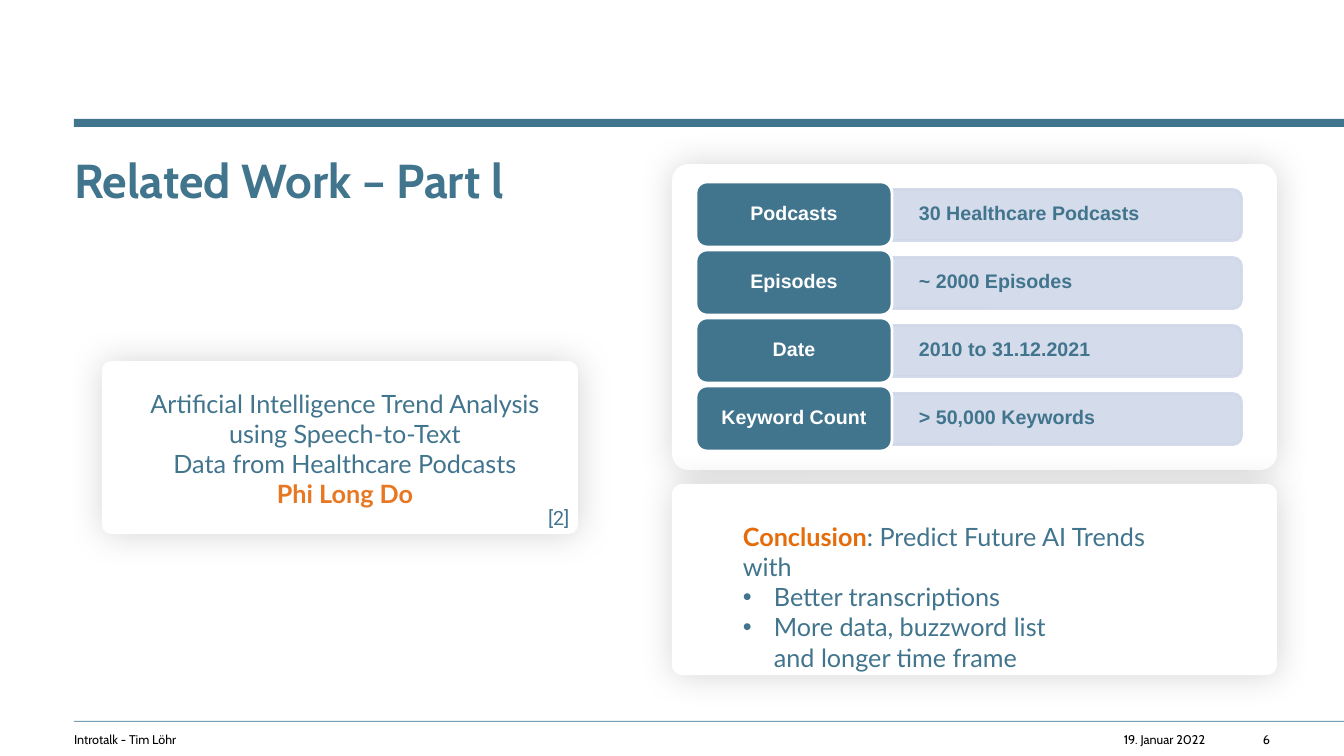
import pptx
import pptx.dml.color
import pptx.enum.shapes
import pptx.enum.text
import pptx.oxml
import pptx.oxml.ns
import pptx.util

WIDTH, HEIGHT = 1344, 756
SCALE = 12192000 / WIDTH  # EMU per px

COLORS = {
    "teal": "41748D",
    "rule": "779FB5",
    "bar": "D0D8E8",
    "orange": "E87722",
    "amber": "E46C0A",
    "white": "FFFFFF",
    "black": "000000",
}
STYLES = {
    "footer": {"name": "Cabin", "size": 9, "color": "black"},
    "title": {"name": "Cabin", "size": 34, "color": "teal", "bold": True},
    "body": {"name": "Lato", "size": 18, "color": "teal"},
    "author": {"name": "Lato", "size": 18, "color": "orange", "bold": True},
    "lead": {"name": "Lato", "size": 18, "color": "amber", "bold": True},
    "reference": {"name": "Roboto", "size": 14, "color": "teal"},
    "label": {"name": "Arial", "size": 14, "color": "white", "bold": True},
    "value": {"name": "Arial", "size": 14, "color": "teal", "bold": True},
}
SHAPES = pptx.enum.shapes.MSO_SHAPE
ALIGN = pptx.enum.text.PP_ALIGN
ANCHOR = pptx.enum.text.MSO_ANCHOR
NS = pptx.oxml.ns.nsdecls("a")


def emu(px):
    return round(px * SCALE)


def rgb(color):
    return pptx.dml.color.RGBColor.from_string(COLORS[color])


class Deck:
    def __init__(self):
        self.prs = pptx.Presentation()
        self.prs.slide_width, self.prs.slide_height = emu(WIDTH), emu(HEIGHT)
        self.s = None

    def add_slide(self):
        self.s = self.prs.slides.add_slide(self.prs.slide_layouts[6])

    def shape(self, kind, box, fill, line=None, adj=None, alpha=None):
        sp = self.s.shapes.add_shape(kind, *map(emu, box))
        sp.shadow.inherit = False
        sp.fill.solid()
        sp.fill.fore_color.rgb = rgb(fill)
        if line:
            sp.line.color.rgb = rgb(line)
            sp.line.width = pptx.util.Pt(2)
        else:
            sp.line.fill.background()
        if adj is not None:
            sp.adjustments[0] = adj
        if alpha:
            for clr in sp._element.spPr.iter(pptx.oxml.ns.qn("a:srgbClr")):
                clr.append(pptx.oxml.parse_xml(f'<a:alpha {NS} val="{alpha * 1000}"/>'))
        return sp

    def card(self, box):
        """White rounded panel with a soft shadow."""
        sp = self.shape(SHAPES.ROUNDED_RECTANGLE, box, "white", adj=0.054)
        effects = sp._element.spPr.find(pptx.oxml.ns.qn("a:effectLst"))
        effects.append(pptx.oxml.parse_xml(
            f'<a:outerShdw {NS} blurRad="317500" dist="10160" dir="2400000" '
            f'algn="ctr" rotWithShape="0"><a:srgbClr val="{COLORS["black"]}">'
            '<a:alpha val="16000"/></a:srgbClr></a:outerShdw>'))

    def bullet(self, p, indent):
        pPr = p._p.get_or_add_pPr()
        pPr.set("marL", str(emu(indent)))
        pPr.set("indent", str(-emu(indent)))
        pPr.append(pptx.oxml.parse_xml(f'<a:buFont {NS} typeface="Arial"/>'))
        pPr.append(pptx.oxml.parse_xml(f'<a:buChar {NS} char="•"/>'))

    def fill_text(self, sp, paragraphs, align=ALIGN.LEFT, anchor=ANCHOR.TOP,
                  inset=(0, 0), spacing=None, bullets_from=None):
        """Each paragraph is a list of (text, style) runs."""
        tf = sp.text_frame
        frame = {"word_wrap": True, "vertical_anchor": anchor,
                 "margin_left": emu(inset[0]), "margin_right": emu(inset[0]),
                 "margin_top": emu(inset[1]), "margin_bottom": emu(inset[1])}
        for name, value in frame.items():
            setattr(tf, name, value)
        for i, runs in enumerate(paragraphs):
            p = tf.add_paragraph() if i else tf.paragraphs[0]
            p.alignment, p.line_spacing = align, spacing
            if bullets_from is not None and i >= bullets_from:
                self.bullet(p, 31)
            for text, style in runs:
                for j, line in enumerate(text.split("\n")):
                    if j:
                        p.add_line_break()
                    self.add_run(p, line, STYLES[style])

    def add_run(self, p, text, style):
        r = p.add_run()
        r.text = text
        for name, value in style.items():
            if name == "color":
                r.font.color.rgb = rgb(value)
            else:
                setattr(r.font, name, pptx.util.Pt(value) if name == "size" else value)

    def text(self, box, paragraphs, **options):
        self.fill_text(self.s.shapes.add_textbox(*map(emu, box)), paragraphs, **options)

    def fact(self, top, label, value):
        """Label block with its value bar to the right."""
        bar = self.shape(SHAPES.ROUND_2_SAME_RECTANGLE, (1041, top - 142, 51, 350),
                         "bar", line="bar", alpha=90)
        bar.rotation = 90
        self.text((892, top + 9, 348, 46), [[(value, "value")]],
                  anchor=ANCHOR.MIDDLE, inset=(27, 14), spacing=0.9)
        block = self.shape(SHAPES.ROUNDED_RECTANGLE, (696, top, 196, 65),
                           "teal", line="white")
        self.fill_text(block, [[(label, "label")]], align=ALIGN.CENTER,
                       anchor=ANCHOR.MIDDLE, inset=(9, 6), spacing=0.9)


def main():
    deck = Deck()
    deck.add_slide()

    # Rules, footer and title
    deck.shape(SHAPES.RECTANGLE, (74, 119, 1270, 8), "teal")
    deck.shape(SHAPES.RECTANGLE, (74, 721, 1270, 1), "rule")
    deck.text((74, 732, 899, 21), [[("Introtalk - Tim Löhr", "footer")]])
    for box, text in (((1046, 732, 159, 21), "19. Januar 2022"),
                      ((1215, 732, 55, 21), "6")):
        deck.text(box, [[(text, "footer")]], align=ALIGN.RIGHT)
    deck.text((74, 151, 1196, 83), [[("Related Work – Part l", "title")]])

    # Cited work
    deck.card((102, 361, 476, 173))
    deck.text((119, 388, 452, 153), [
        [("Artificial Intelligence Trend Analysis", "body")],
        [("using Speech-to-Text", "body")],
        [("Data from Healthcare Podcasts", "body")],
        [("Phi Long Do", "author")],
    ], align=ALIGN.CENTER)
    deck.text((548, 506, 26, 32), [[("[2]", "reference")]])

    # Key facts
    deck.card((672, 164, 605, 306))
    facts = [
        ("Podcasts", "30 Healthcare Podcasts"),
        ("Episodes", "~ 2000 Episodes"),
        ("Date", "2010 to 31.12.2021"),
        ("Keyword Count", "> 50,000 Keywords"),
    ]
    for i, (label, value) in enumerate(facts):
        deck.fact(182 + 68 * i, label, value)

    # Conclusion
    deck.card((672, 484, 605, 191))
    deck.text((743, 521, 452, 153), [
        [("Conclusion", "lead"), (": Predict Future AI Trends with", "body")],
        [("Better transcriptions", "body")],
        [("More data, buzzword list\nand longer time frame", "body")],
    ], bullets_from=1)

    deck.prs.save("out.pptx")


if __name__ == "__main__":
    main()
